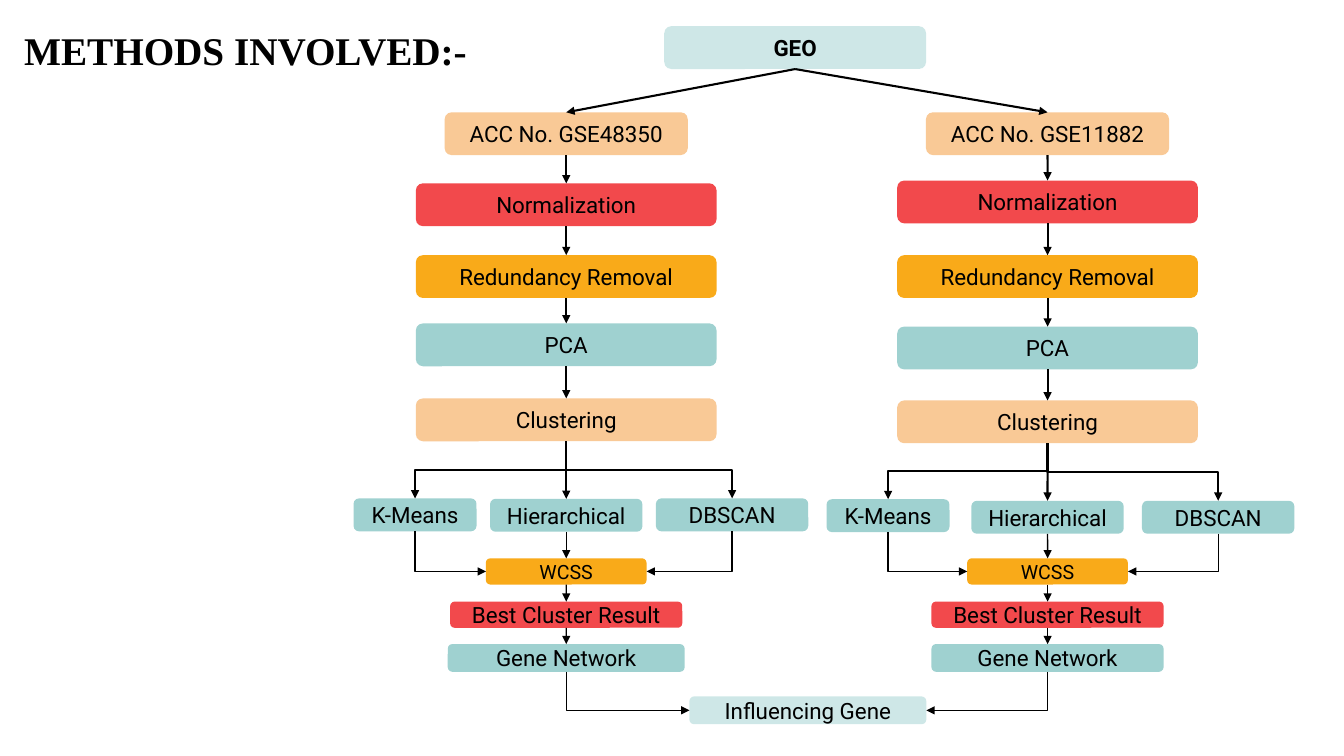
from lxml import etree
from pptx import Presentation
from pptx.dml.color import RGBColor
from pptx.enum.shapes import MSO_CONNECTOR, MSO_SHAPE
from pptx.enum.text import MSO_ANCHOR, PP_ALIGN
from pptx.oxml.ns import qn
from pptx.util import Cm, Pt

ROUNDED = MSO_SHAPE.ROUNDED_RECTANGLE
STRAIGHT, ELBOW = MSO_CONNECTOR.STRAIGHT, MSO_CONNECTOR.ELBOW
MIDDLE, CENTER, LEFT = MSO_ANCHOR.MIDDLE, PP_ALIGN.CENTER, PP_ALIGN.LEFT
TOP_SIDE, LEFT_SIDE, BOTTOM_SIDE, RIGHT_SIDE = range(4)

COLORS = {"teal": "9FD1D0", "peach": "F9C996", "red": "F2494C",
          "orange": "F9AA19", "black": "000000"}
BOX_FONT = {"name": "Roboto", "size": Pt(16), "bold": False}
TITLE_FONT = {"name": "Times New Roman", "size": Pt(28), "bold": True}
THICK, THIN = 1.5, 1


class FlowSlide:
    """Holds the style and the current slide; lengths are in centimetres."""

    def __init__(self, prs):
        self.s = prs.slides.add_slide(prs.slide_layouts[6])

    def color(self, name):
        return RGBColor.from_string(COLORS[name])

    def label(self, tf, text, font, align):
        tf.word_wrap = True
        p = tf.paragraphs[0]
        p.alignment = align
        r = p.add_run()
        r.text = text
        r.font.color.rgb = self.color("black")
        for key, value in font.items():
            setattr(r.font, key, value)

    def title(self, text, left, top, width, height):
        sp = self.s.shapes.add_textbox(Cm(left), Cm(top), Cm(width), Cm(height))
        self.label(sp.text_frame, text, TITLE_FONT, LEFT)

    def box(self, text, fill, cx, top, width, height, alpha=None, **font):
        sp = self.s.shapes.add_shape(
            ROUNDED, Cm(cx - width / 2), Cm(top), Cm(width), Cm(height))
        sp.shadow.inherit = False
        sp.fill.solid()
        sp.fill.fore_color.rgb = self.color(fill)
        sp.line.fill.background()
        if alpha:
            clr = sp._element.spPr.find(qn("a:solidFill"))[0]
            etree.SubElement(clr, qn("a:alpha"), val=str(alpha * 1000))
        sp.text_frame.vertical_anchor = MIDDLE
        self.label(sp.text_frame, text, {**BOX_FONT, **font}, CENTER)
        return sp

    def join(self, kind, start, end, end_side, weight):
        sp = self.s.shapes.add_connector(kind, 0, 0, 0, 0)
        sp.begin_connect(start, BOTTOM_SIDE)
        sp.end_connect(end, end_side)
        sp.line.color.rgb = self.color("black")
        sp.line.width = Pt(weight)
        spPr = sp._element.spPr
        etree.SubElement(spPr.find(qn("a:ln")), qn("a:tailEnd"), type="triangle")
        etree.SubElement(spPr, qn("a:effectLst"))
        return sp

    def arrow(self, start, end, weight):
        self.join(STRAIGHT, start, end, TOP_SIDE, weight)

    def elbow(self, start, end, end_side, weight):
        """Leaves downwards, so the connector is turned by a quarter."""
        sp = self.join(ELBOW, start, end, end_side, weight)
        x1, y1, x2, y2 = sp.begin_x, sp.begin_y, sp.end_x, sp.end_y
        width, height = abs(y2 - y1), abs(x2 - x1)
        frame = {"left": (x1 + x2 - width) // 2, "top": (y1 + y2 - height) // 2,
                 "width": width, "height": height}
        for key, value in frame.items():
            setattr(sp, key, value)
        spPr = sp._element.spPr
        rightward = x2 > x1
        xfrm = spPr.find(qn("a:xfrm"))
        xfrm.set("rot", "16200000" if rightward else "5400000")
        xfrm.set("flipH", "1" if rightward else "0")
        if end_side != TOP_SIDE:
            spPr.find(qn("a:prstGeom")).set("prst", "bentConnector2")


# Per branch: accession, centre, tops of the steps, (centre, top) of the methods,
# width of the last box
BRANCHES = [
    ("ACC No. GSE48350", 14.27, (4.62, 6.43, 8.15, 10.04),
     ((10.46, 12.56), (14.27, 12.57), (18.45, 12.56)), 5.97),
    ("ACC No. GSE11882", 26.4, (4.55, 6.43, 8.23, 10.09),
     ((22.38, 12.58), (26.4, 12.62), (30.7, 12.62)), 5.85),
]
STEPS = [("Normalization", "red"), ("Redundancy Removal", "orange"),
         ("PCA", "teal"), ("Clustering", "peach")]
METHODS = [("K-Means", 3.1), ("Hierarchical", 3.84), ("DBSCAN", 3.84)]


def add_branch(flow, geo, accession, cx, step_tops, method_spots, network_width):
    # Accession and preprocessing steps
    last = flow.box(accession, "peach", cx, 2.83, 6.13, 1.08)
    flow.arrow(geo, last, THICK)
    for (text, fill), top in zip(STEPS, step_tops):
        step = flow.box(text, fill, cx, top, 7.58, 1.08)
        flow.arrow(last, step, THICK)
        last = step

    # Clustering methods, which meet again at WCSS
    kmeans, hierarchical, dbscan = [
        flow.box(text, "teal", x, top, width, 0.83)
        for (text, width), (x, top) in zip(METHODS, method_spots)]
    wcss = flow.box("WCSS", "orange", cx, 14.07, 4.05, 0.66, size=Pt(14))
    for method, side in ((kmeans, LEFT_SIDE), (dbscan, RIGHT_SIDE)):
        flow.elbow(last, method, TOP_SIDE, THICK)
        flow.elbow(method, wcss, side, THIN)
    flow.arrow(last, hierarchical, THICK)
    flow.arrow(hierarchical, wcss, THIN)

    # Results
    best = flow.box("Best Cluster Result", "red", cx, 15.16, 5.85, 0.66)
    network = flow.box("Gene Network", "teal", cx, 16.23, network_width, 0.7)
    flow.arrow(wcss, best, THIN)
    flow.arrow(best, network, THIN)
    return network


def main():
    prs = Presentation()
    prs.slide_width, prs.slide_height = Cm(33.87), Cm(19.05)
    flow = FlowSlide(prs)

    # Title and data source
    flow.title("METHODS INVOLVED:-", 0.36, 0.53, 11.89, 2.64)
    geo = flow.box("GEO", "teal", 20.04, 0.66, 6.6, 1.08, alpha=50, bold=True)

    # Two branches that end in the shared result
    gene = flow.box("Influencing Gene", "teal", 20.36, 17.55, 5.97, 0.7, alpha=50)
    for branch, side in zip(BRANCHES, (LEFT_SIDE, RIGHT_SIDE)):
        network = add_branch(flow, geo, *branch)
        flow.elbow(network, gene, side, THIN)

    prs.save("out.pptx")


if __name__ == "__main__":
    main()
